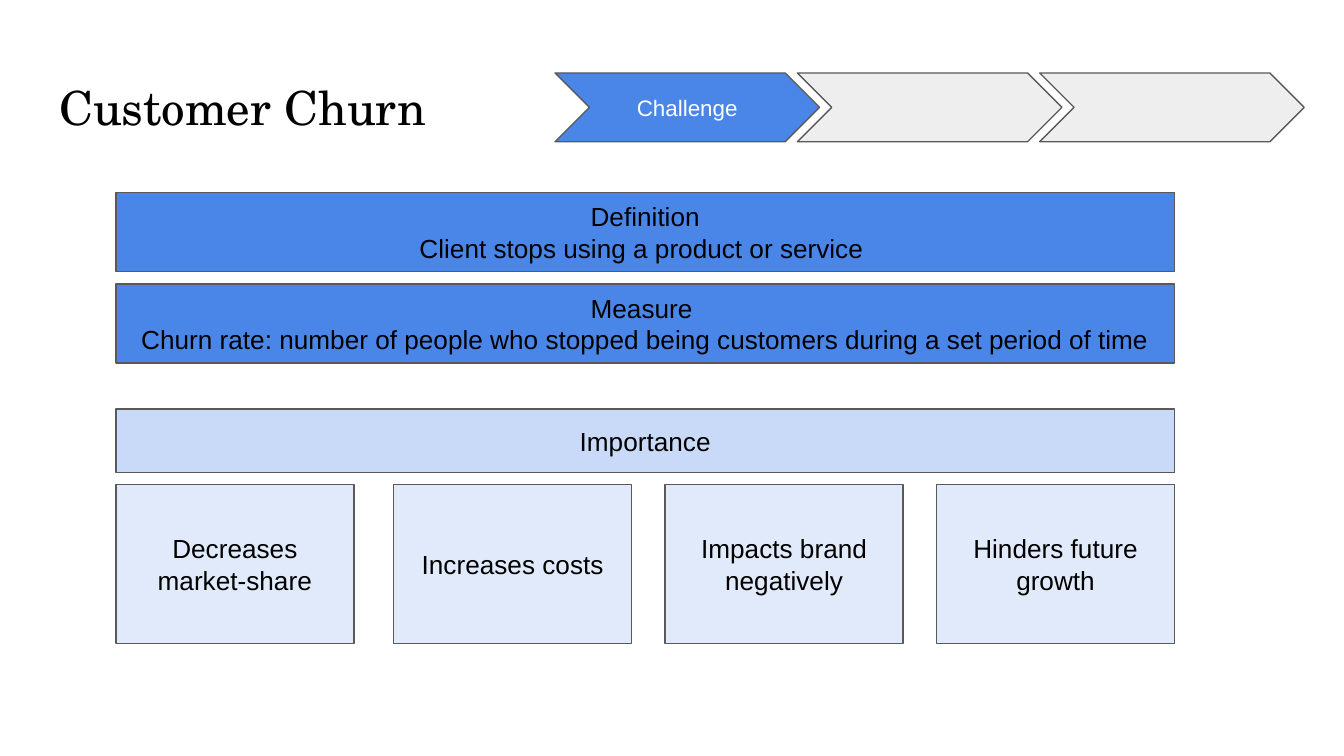
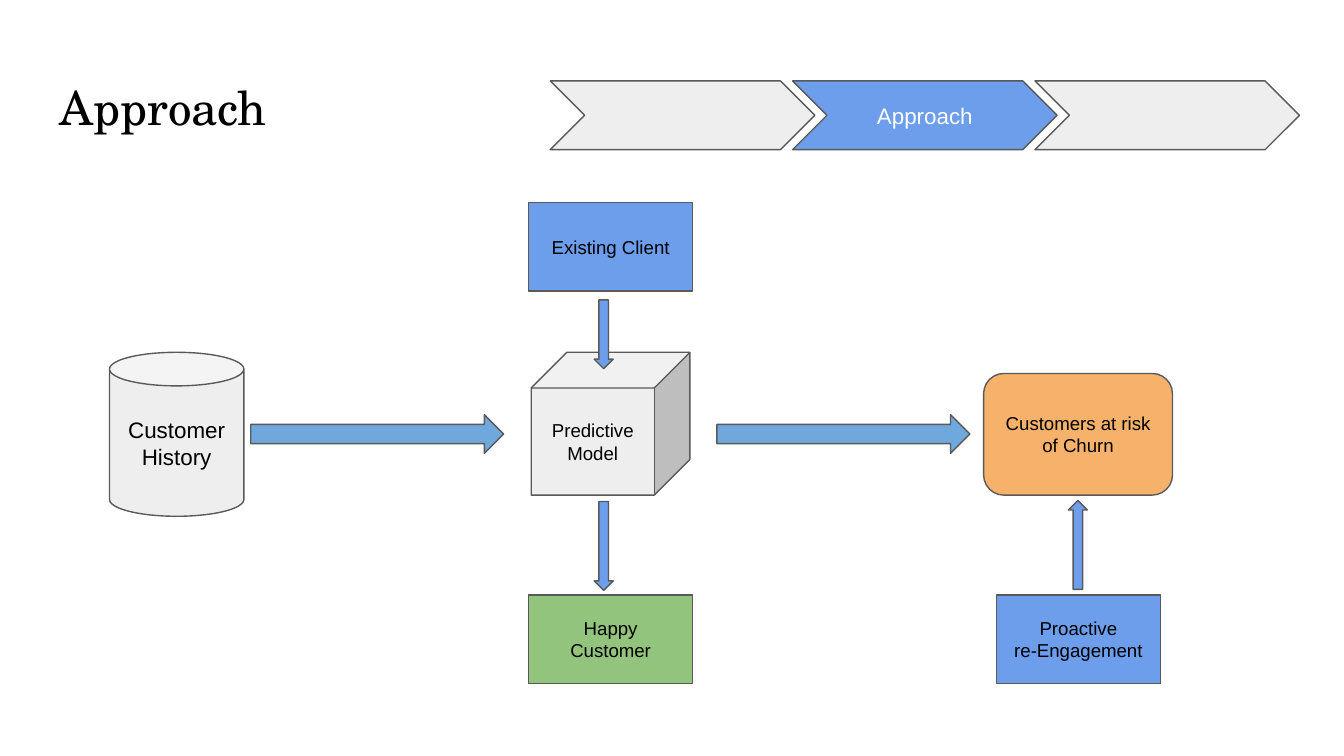
from dataclasses import dataclass

from pptx import Presentation
from pptx.dml.color import RGBColor
from pptx.enum.shapes import MSO_SHAPE
from pptx.enum.text import MSO_ANCHOR, PP_ALIGN
from pptx.util import Cm, Pt

RECT = MSO_SHAPE.RECTANGLE
CHEVRON = MSO_SHAPE.CHEVRON
CAN = MSO_SHAPE.CAN
CUBE = MSO_SHAPE.CUBE
PROCESS = MSO_SHAPE.FLOWCHART_PROCESS
ROUNDED = MSO_SHAPE.FLOWCHART_ALTERNATE_PROCESS
RIGHT_ARROW = MSO_SHAPE.RIGHT_ARROW
DOWN_ARROW = MSO_SHAPE.DOWN_ARROW
LEFT, CENTER = PP_ALIGN.LEFT, PP_ALIGN.CENTER
TOP, MIDDLE = MSO_ANCHOR.TOP, MSO_ANCHOR.MIDDLE

BLACK = RGBColor(0x00, 0x00, 0x00)
WHITE = RGBColor(0xFF, 0xFF, 0xFF)
OUTLINE = RGBColor(0x59, 0x59, 0x59)
GREY = RGBColor(0xEE, 0xEE, 0xEE)
STRONG_BLUE = RGBColor(0x4A, 0x86, 0xE8)
MID_BLUE = RGBColor(0x6D, 0x9E, 0xEB)
LIGHT_BLUE = RGBColor(0xC9, 0xDA, 0xF8)
PALE_BLUE = RGBColor(0xE1, 0xEA, 0xFB)
ARROW_BLUE = RGBColor(0x6F, 0xA8, 0xDC)
ORANGE = RGBColor(0xF6, 0xB2, 0x6B)
GREEN = RGBColor(0x93, 0xC4, 0x7D)

TITLE_FONT, BODY_FONT = "TeX Gyre Schola", "Arial"
STAGES = ("Challenge", "Approach", "Results")


@dataclass
class Box:
    """A filled, outlined shape; lengths in centimetres, size in points."""
    kind: int
    left: float
    top: float
    width: float
    height: float
    fill: RGBColor
    text: str = ""
    size: float = 10
    color: RGBColor = BLACK
    rotation: float = 0


def write(shape, text: str, font: str, size: float, color: RGBColor,
          align: int, anchor: int) -> None:
    tf = shape.text_frame
    tf.word_wrap = True
    tf.vertical_anchor = anchor
    tf.margin_left = tf.margin_right = tf.margin_top = tf.margin_bottom = Cm(0.25)
    for i, line in enumerate(text.split("\n")):
        p = tf.add_paragraph() if i else tf.paragraphs[0]
        p.alignment = align
        r = p.add_run()
        r.text = line
        r.font.name = font
        r.font.size = Pt(size)
        r.font.color.rgb = color


def draw(s, box: Box) -> None:
    sp = s.shapes.add_shape(box.kind, Cm(box.left), Cm(box.top),
                            Cm(box.width), Cm(box.height))
    sp.shadow.inherit = False
    sp.rotation = box.rotation
    sp.fill.solid()
    sp.fill.fore_color.rgb = box.fill
    sp.line.color.rgb = OUTLINE
    sp.line.width = Pt(0.75)
    if box.text:
        write(sp, box.text, BODY_FONT, box.size, box.color, CENTER, MIDDLE)


def add_slide(prs, title: str, active: str, fill: RGBColor,
              left: float, top: float):
    """Blank slide with the title and the stage tracker; only the active stage is labelled."""
    s = prs.slides.add_slide(prs.slide_layouts[6])
    sp = s.shapes.add_textbox(Cm(0.87), Cm(1.24), Cm(23.67), Cm(1.6))
    write(sp, title, TITLE_FONT, 25.2, BLACK, LEFT, TOP)
    for i, stage in enumerate(STAGES):
        on = stage == active
        draw(s, Box(CHEVRON, left + i * 4.58, top, 5, 1.3,
                    fill if on else GREY, stage if on else "", 12, WHITE))
    return s


def churn_slide(prs) -> None:
    s = add_slide(prs, "Customer Churn", "Challenge", STRONG_BLUE, 10.49, 1.38)
    left, width = 2.19, 20.01

    # Full-width bars
    bars = (
        (3.64, 1.49, STRONG_BLUE,
         "Definition\nClient stops using a product or service "),
        (5.37, 1.49, STRONG_BLUE,
         "Measure \nChurn rate: number of people who stopped being customers "
         "during a set period of time"),
        (7.73, 1.2, LIGHT_BLUE, "Importance"),
    )
    for top, height, fill, text in bars:
        draw(s, Box(RECT, left, top, width, height, fill, text, 14))

    # Reasons: first card flush left, the others stepped back from the right
    reasons = ("Decreases market-share", "Increases costs",
               "Impacts brand negatively", "Hinders future growth")
    card, step = 4.5, 5.13
    for i, text in enumerate(reasons):
        x = left + width - card - (3 - i) * step if i else left
        draw(s, Box(RECT, x, 9.16, card, 3, PALE_BLUE, text, 14))


def approach_slide(prs) -> None:
    s = add_slide(prs, "Approach", "Approach", MID_BLUE, 10.4, 1.53)

    # Main flow, left to right
    for x in (4.74, 13.55):
        draw(s, Box(RIGHT_ARROW, x, 7.84, 4.78, 0.73, ARROW_BLUE))
    draw(s, Box(CAN, 2.07, 6.66, 2.54, 3.1, GREY, "Customer History", 12))
    draw(s, Box(CUBE, 10.04, 6.66, 3, 2.7, GREY, "Predictive Model"))
    draw(s, Box(ROUNDED, 18.59, 7.06, 3.57, 2.3, ORANGE,
                "Customers at risk of Churn"))

    # Inputs and outcomes
    steps = (
        (9.99, 3.83, MID_BLUE, "Existing Client"),
        (9.99, 11.25, GREEN, "Happy Customer"),
        (18.83, 11.25, MID_BLUE, "Proactive\nre-Engagement"),
    )
    for x, y, fill, text in steps:
        draw(s, Box(PROCESS, x, y, 3.1, 1.67, fill, text))

    # Vertical arrows
    arrows = ((11.23, 5.67, 1.3, 0), (11.23, 9.48, 1.68, 0),
              (20.19, 9.46, 1.68, 180))
    for x, y, height, rotation in arrows:
        draw(s, Box(DOWN_ARROW, x, y, 0.36, height, MID_BLUE,
                    rotation=rotation))


def main() -> None:
    prs = Presentation()
    prs.slide_width, prs.slide_height = Cm(25.4), Cm(14.29)
    churn_slide(prs)
    approach_slide(prs)
    prs.save("out.pptx")


if __name__ == "__main__":
    main()
